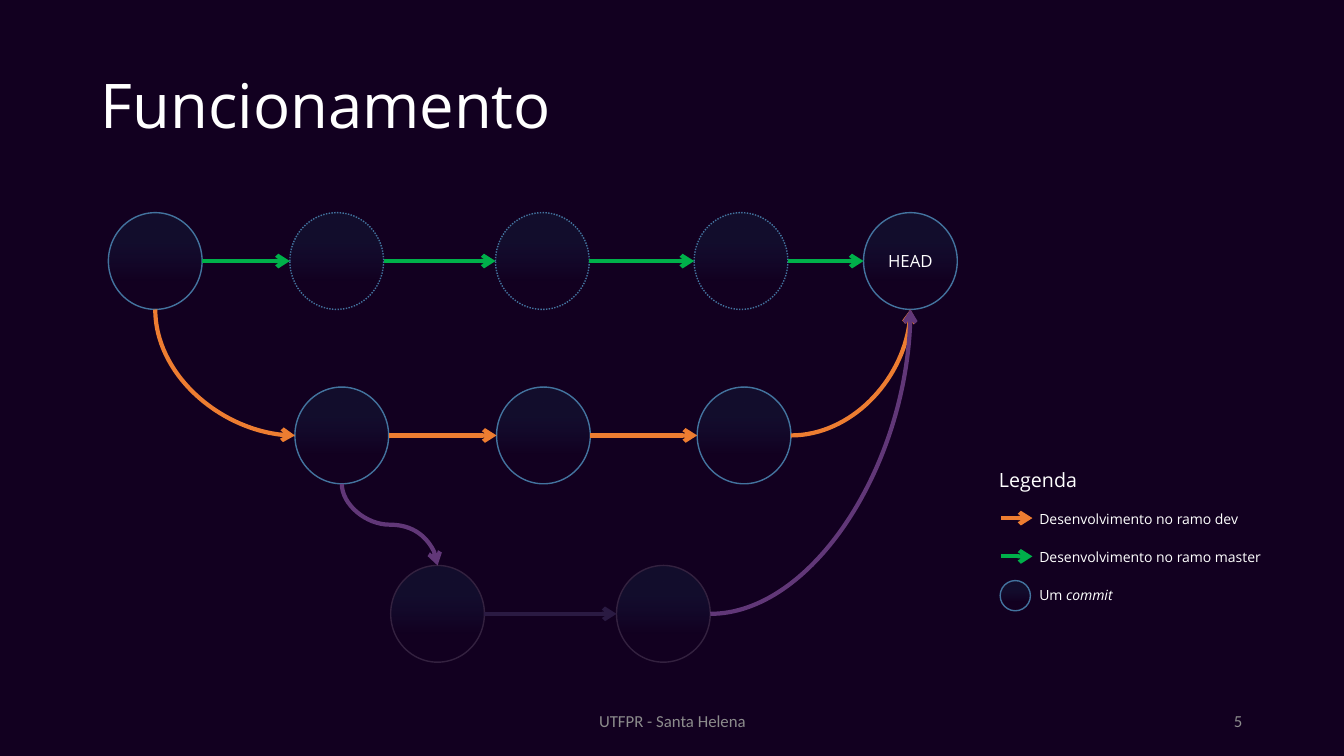
from pptx import Presentation
from pptx.dml.color import RGBColor
from pptx.enum.dml import MSO_LINE
from pptx.enum.shapes import MSO_CONNECTOR, MSO_SHAPE
from pptx.enum.text import MSO_ANCHOR, PP_ALIGN
from pptx.oxml.ns import qn
from pptx.util import Inches, Pt
from lxml.etree import SubElement

BACKGROUND, WHITE, GREY = "120020", "FFFFFF", "8C8C8C"
ORANGE, GREEN, PURPLE, DIM = "ED7D31", "00B04A", "613778", "2A1A42"
BLUE, FADED = "43739E", "33213F"
HALF_W, HALF_H = 0.465, 0.48
MASTER_ROW, DEV_ROW, FEATURE_ROW = 2.59, 4.32, 6.09
MASTER_COLUMNS = [1.54, 3.34, 5.38, 7.35, 9.03]
DEV_COLUMNS = [3.39, 5.39, 7.38]
FEATURE_COLUMNS = [4.34, 6.58]
LEGEND_LEFT, LEGEND_TOP, LEGEND_STEP = 9.93, 5.14, 0.38


def rgb(code):
    """Turn a hex string into a colour."""
    return RGBColor.from_string(code)


def write(frame, text, size, color=WHITE, align=PP_ALIGN.LEFT, font="Open Sans"):
    """Put one formatted, vertically centred paragraph in a text frame."""
    frame.vertical_anchor = MSO_ANCHOR.MIDDLE
    paragraph = frame.paragraphs[0]
    paragraph.text = text
    paragraph.alignment = align
    paragraph.font.size, paragraph.font.name = Pt(size), font
    paragraph.font.color.rgb = rgb(color)
    return paragraph


deck = Presentation()
deck.slide_width, deck.slide_height = Inches(13.33), Inches(7.5)
slide = deck.slides.add_slide(deck.slide_layouts[5])
slide.background.fill.solid()
slide.background.fill.fore_color.rgb = rgb(BACKGROUND)

title = slide.shapes.title
title.left, title.top = Inches(0.9), Inches(0.35)
title.width, title.height = Inches(11.5), Inches(1.45)
write(title.text_frame, "Funcionamento", 44).line_spacing = 0.9

# Footer and legend wording: left, top, width, height, text, size, colour, alignment, font
captions = [
    (4.42, 6.95, 4.5, 0.4, "UTFPR - Santa Helena", 12, GREY, PP_ALIGN.CENTER, "Calibri"),
    (9.42, 6.95, 3, 0.4, "5", 12, GREY, PP_ALIGN.RIGHT, "Calibri"),
    (9.81, 4.59, 1.2, 0.33, "Legenda", 14, WHITE, PP_ALIGN.LEFT, "Open Sans"),
]
legend = ["Desenvolvimento no ramo dev", "Desenvolvimento no ramo master", "Um "]
for row, entry in enumerate(legend):
    top = LEGEND_TOP + row * LEGEND_STEP - 0.13
    captions.append((10.21, top, 2.5, 0.27, entry, 10, WHITE, PP_ALIGN.LEFT, "Open Sans"))
for left, top, width, height, *wording in captions:
    caption = slide.shapes.add_textbox(Inches(left), Inches(top), Inches(width), Inches(height))
    caption.text_frame.word_wrap = True
    paragraph = write(caption.text_frame, *wording)
commit_word = paragraph.add_run()
commit_word.text = "commit"
commit_word.font.italic = True

# Commits: centre, half width, half height, outline, dotted, label
commits = [(x, MASTER_ROW, HALF_W, HALF_H, BLUE, x in MASTER_COLUMNS[1:4],
            "HEAD" if x == MASTER_COLUMNS[-1] else "") for x in MASTER_COLUMNS]
commits += [(x, DEV_ROW, HALF_W, HALF_H, BLUE, False, "") for x in DEV_COLUMNS]
commits += [(x, FEATURE_ROW, HALF_W, HALF_H, FADED, False, "") for x in FEATURE_COLUMNS]
commits.append((10.07, LEGEND_TOP + 2 * LEGEND_STEP + 0.01, 0.15, 0.15, BLUE, False, ""))
for x, y, half_w, half_h, outline, dotted, label in commits:
    commit = slide.shapes.add_shape(MSO_SHAPE.OVAL, Inches(x - half_w), Inches(y - half_h),
                                    Inches(2 * half_w), Inches(2 * half_h))
    commit.shadow.inherit = False
    commit.fill.gradient()
    commit.fill.gradient_angle = 270
    shades = [(0.3, "163856", 24000), (0.7, "1F4E79", 0)]
    for stop, (position, color, alpha) in zip(commit.fill.gradient_stops, shades):
        stop.position = position
        stop.color.rgb = rgb(color)
    for node, shade in zip(commit.element.spPr.iter(qn("a:srgbClr")), shades):
        SubElement(node, qn("a:alpha"), val=str(shade[2]))
    commit.line.color.rgb = rgb(outline)
    commit.line.width = Pt(1)
    if dotted:
        commit.line.dash_style = MSO_LINE.ROUND_DOT
    if label:
        commit.text_frame.word_wrap = False
        write(commit.text_frame, label, 12, align=PP_ALIGN.CENTER)

# Arrows: start, end, colour, curve preset, whether it leaves downwards
arrows = []
for columns, y, color in [(MASTER_COLUMNS, MASTER_ROW, GREEN), (DEV_COLUMNS, DEV_ROW, ORANGE),
                          (FEATURE_COLUMNS, FEATURE_ROW, DIM)]:
    for here, following in zip(columns, columns[1:]):
        arrows.append((here + HALF_W, y, following - HALF_W, y, color, "curvedConnector3", False))
for row, color in enumerate([ORANGE, GREEN]):
    y = LEGEND_TOP + row * LEGEND_STEP
    arrows.append((LEGEND_LEFT, y, LEGEND_LEFT + 0.31, y, color, "curvedConnector3", False))
head, head_bottom = MASTER_COLUMNS[-1], MASTER_ROW + HALF_H
arrows += [
    (MASTER_COLUMNS[0], head_bottom, DEV_COLUMNS[0] - HALF_W, DEV_ROW,
     ORANGE, "curvedConnector2", True),
    (DEV_COLUMNS[-1] + HALF_W, DEV_ROW, head, head_bottom, ORANGE, "curvedConnector2", False),
    (DEV_COLUMNS[0], DEV_ROW + HALF_H, FEATURE_COLUMNS[0], FEATURE_ROW - HALF_H,
     PURPLE, "curvedConnector3", True),
    (FEATURE_COLUMNS[-1] + HALF_W, FEATURE_ROW, head, head_bottom,
     PURPLE, "curvedConnector2", False),
]
for x1, y1, x2, y2, color, preset, downwards in arrows:
    if downwards:  # the frame is laid on its side, then turned a quarter
        middle_x, middle_y = (x1 + x2) / 2, (y1 + y2) / 2
        reach_x, reach_y = (y2 - y1) / 2, (x2 - x1) / 2
        x1, x2 = middle_x - reach_x, middle_x + reach_x
        y1, y2 = middle_y + reach_y, middle_y - reach_y
    arrow = slide.shapes.add_connector(MSO_CONNECTOR.CURVE, Inches(x1), Inches(y1),
                                       Inches(x2), Inches(y2))
    arrow.line.color.rgb = rgb(color)
    arrow.line.width = Pt(3)
    properties = arrow._element.spPr
    properties.find(qn("a:prstGeom")).set("prst", preset)
    if downwards:
        properties.find(qn("a:xfrm")).set("rot", "5400000")
    SubElement(properties.find(qn("a:ln")), qn("a:tailEnd"), type="arrow")
    SubElement(properties, qn("a:effectLst"))

deck.save("out.pptx")
